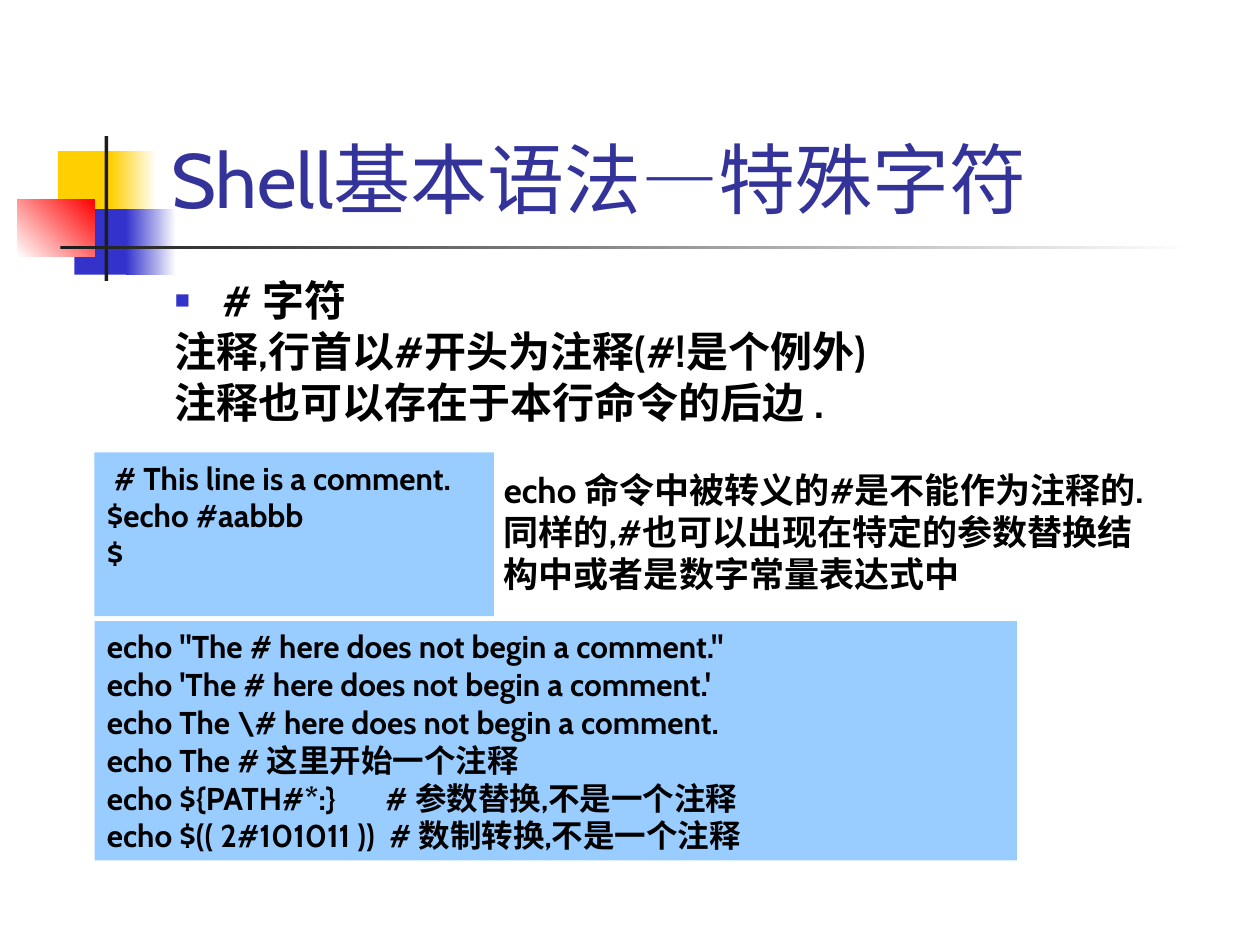
from lxml import etree
from pptx import Presentation
from pptx.dml.color import RGBColor
from pptx.enum.shapes import MSO_SHAPE
from pptx.enum.text import MSO_ANCHOR as ANCHOR
from pptx.oxml.ns import qn
from pptx.util import Inches, Pt

COLORS = {
    "yellow": "FFCF01", "blue": "3333CC", "red": "FF0000", "white": "FFFFFF",
    "dark": "1C1C1C", "title": "333399", "text": "000000", "code": "99CCFF",
}
FONT = "Cabin"
HANGING = 0.38


def rgb(name):
    return RGBColor.from_string(COLORS[name])


def add_block(slide, box, colors, angle=0):
    """Draw a rectangle with one solid colour or a two-colour gradient."""
    shape = slide.shapes.add_shape(MSO_SHAPE.RECTANGLE, *map(Inches, box))
    shape.shadow.inherit = False
    shape.line.fill.background()
    if len(colors) == 1:
        shape.fill.solid()
        shape.fill.fore_color.rgb = rgb(colors[0])
    else:
        shape.fill.gradient()
        shape.fill.gradient_angle = angle
        for position, (stop, color) in enumerate(zip(shape.fill.gradient_stops, colors)):
            stop.position = position
            stop.color.rgb = rgb(color)
    return shape


def add_text_box(slide, box):
    return slide.shapes.add_textbox(*map(Inches, box))


def write_text(shape, lines, size=18, color="text", bold=True, anchor=ANCHOR.TOP,
               spacing=None, before=0):
    """Fill a shape with lines, each a list of (text, font) runs or a string."""
    frame = shape.text_frame
    frame.word_wrap = True
    frame.vertical_anchor = anchor
    for index, line in enumerate(lines):
        paragraph = frame.paragraphs[0] if index == 0 else frame.add_paragraph()
        paragraph.alignment = 1
        paragraph.space_before = Pt(before)
        if spacing:
            paragraph.line_spacing = spacing
        for text, font in [(line, FONT)] if isinstance(line, str) else line:
            run = paragraph.add_run()
            run.text = text
            run.font.name = font
            run.font.size = Pt(size)
            run.font.bold = bold
            run.font.color.rgb = rgb(color)
    return frame.paragraphs


def set_hanging(paragraph, bullet=False):
    properties = paragraph._p.get_or_add_pPr()
    properties.set("marL", str(Inches(HANGING)))
    properties.set("indent", str(-Inches(HANGING)))
    if bullet:
        color = etree.SubElement(properties, qn("a:buClr"))
        etree.SubElement(color, qn("a:srgbClr"), val=COLORS["blue"])
        etree.SubElement(properties, qn("a:buSzPct"), val="60000")
        etree.SubElement(properties, qn("a:buFont"), typeface="Arial")
        etree.SubElement(properties, qn("a:buChar"), char="■")


def add_ornament(slide, left, top):
    """Coloured squares crossed by a vertical bar and a fading rule."""
    parts = [
        ((0.32, 0.12, 0.48, 0.52), ["yellow"], 0),
        ((0.74, 0.12, 0.36, 0.52), ["yellow", "white"], 0),
        ((0.45, 0.58, 0.46, 0.52), ["blue"], 0),
        ((0.86, 0.58, 0.4, 0.52), ["blue", "white"], 0),
        ((0, 0.5, 0.61, 0.46), ["white", "red"], 45),
        ((0.69, 0, 0.03, 1.15), ["dark"], 0),
        ((0.34, 0.87, 9, 0.03), ["dark", "white"], 0),
    ]
    for (x, y, width, height), colors, angle in parts:
        add_block(slide, (left + x, top + y, width, height), colors, angle)


def add_title(slide, box):
    line = [("Shell基本语法", FONT), ("—", "Arial"), ("特殊字符", FONT)]
    write_text(add_text_box(slide, box), [line], size=44, color="title",
               bold=False, anchor=ANCHOR.BOTTOM)


def add_body(slide, box):
    lines = [
        "# 字符",
        "注释,行首以#开头为注释(#!是个例外)",
        "注释也可以存在于本行命令的后边 .",
    ]
    paragraphs = write_text(add_text_box(slide, box), lines, size=24,
                            spacing=0.8, before=6)
    for index, paragraph in enumerate(paragraphs):
        set_hanging(paragraph, bullet=index == 0)


def add_code(slide, box, lines):
    write_text(add_block(slide, box, ["code"]), lines)


def add_remark(slide, box):
    lines = [
        "echo 命令中被转义的#是不能作为注释的.",
        "同样的,#也可以出现在特定的参数替换结",
        "构中或者是数字常量表达式中",
    ]
    write_text(add_text_box(slide, box), lines, size=20)


def main():
    presentation = Presentation()
    presentation.slide_width = Inches(10)
    presentation.slide_height = Inches(7.5)
    slide = presentation.slides.add_slide(presentation.slide_layouts[6])

    # Heading
    add_ornament(slide, 0.14, 1.08)
    add_title(slide, (1.26, 0.23, 8.52, 1.6))

    # Explanation and examples
    add_body(slide, (1.29, 2.21, 8.5, 1.31))
    add_code(slide, (0.75, 3.59, 3.17, 1.3), [
        " # This line is a comment.",
        "$echo #aabbb",
        "$",
    ])
    add_remark(slide, (3.9, 3.67, 5.63, 1.44))
    add_code(slide, (0.75, 4.93, 7.32, 1.9), [
        'echo "The # here does not begin a comment."',
        "echo 'The # here does not begin a comment.'",
        "echo The \\# here does not begin a comment.",
        "echo The # 这里开始一个注释",
        "echo ${PATH#*:}       # 参数替换,不是一个注释",
        "echo $(( 2#101011 ))  # 数制转换,不是一个注释",
    ])
    presentation.save("out.pptx")


if __name__ == "__main__":
    main()
